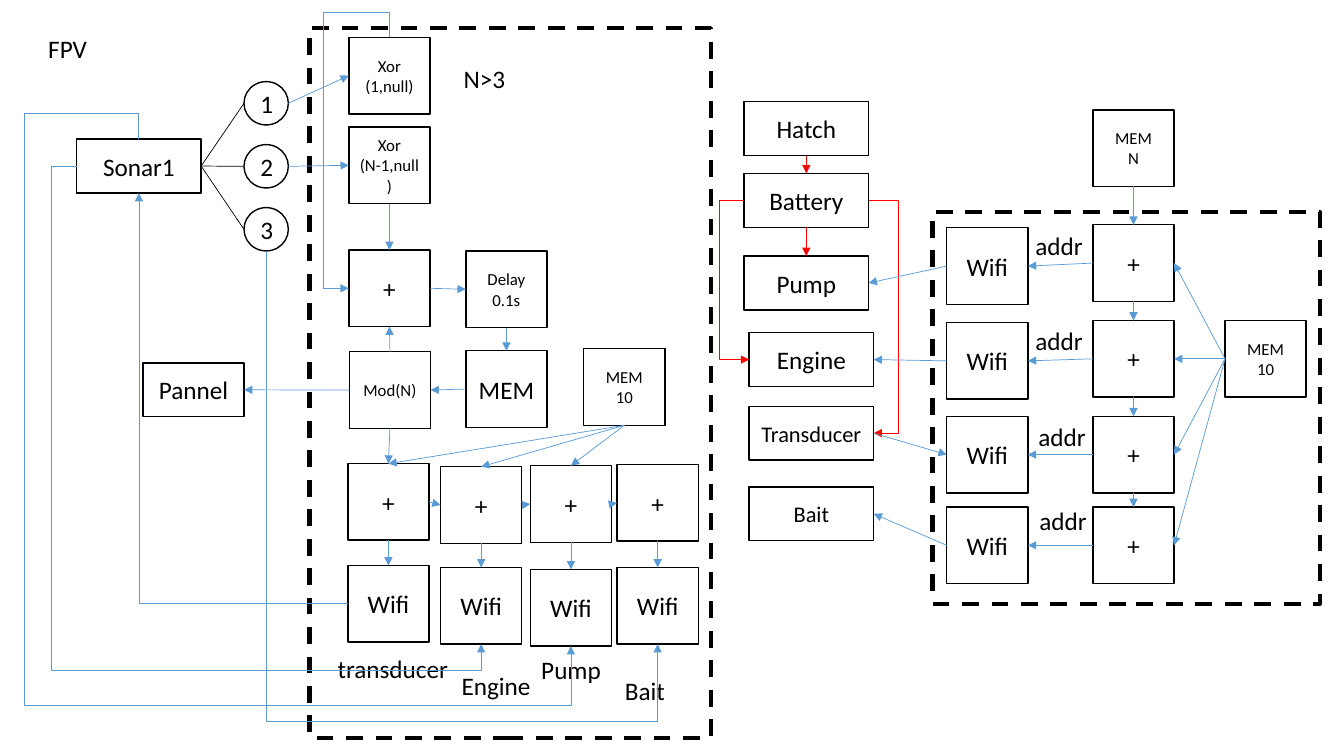
import collections

import pptx
import pptx.dml.color
import pptx.enum.dml
import pptx.enum.shapes
import pptx.enum.text
import pptx.oxml
import pptx.oxml.ns
import pptx.util

COLORS = {"ink": "000000", "paper": "FFFFFF", "signal": "5B9BD5", "power": "FF0000"}
CELL = pptx.util.Inches(0.1)
UNIT = (8.05, 7.6)
LABEL = (12.35, 5.35)
CIRCLE = (4.4, 4.3)
TOP, LEFT, BOTTOM, RIGHT = range(4)
KINDS = pptx.enum.shapes.MSO_SHAPE
Box = collections.namedtuple("Box", "left top width height")


def cells(amount):
    return round(amount * CELL)


def color(name):
    return pptx.dml.color.RGBColor.from_string(COLORS[name])


def apply(target, values):
    for name, value in values.items():
        setattr(target, name, value)


def write(shape, text, size, align, frame_format):
    frame = shape.text_frame
    frame.text = text
    apply(frame, frame_format)
    for para in frame.paragraphs:
        para.alignment = align
        for span in para.runs:
            apply(span.font, {"name": "Calibri", "size": pptx.util.Pt(size)})
            span.font.color.rgb = color("ink")


def place_block(page, box, text, spot, extent=UNIT, size=18, kind=KINDS.RECTANGLE):
    shape = page.shapes.add_shape(
        kind, *map(cells, (box.left + spot[0], box.top + spot[1], *extent)))
    shape.shadow.inherit = False
    if kind == KINDS.OVAL:
        shape.fill.solid()
        shape.fill.fore_color.rgb = color("paper")
    else:
        shape.fill.background()
    shape.line.color.rgb = color("ink")
    shape.line.width = pptx.util.Pt(1)
    if text:
        write(shape, text, size, pptx.enum.text.PP_ALIGN.CENTER,
              {"word_wrap": True, "vertical_anchor": pptx.enum.text.MSO_ANCHOR.MIDDLE})
    return shape


def place_label(page, box, text, spot, width, wrap=False):
    shape = page.shapes.add_textbox(
        *map(cells, (box.left + spot[0], box.top + spot[1], width, 4)))
    write(shape, text, 18, pptx.enum.text.PP_ALIGN.LEFT,
          {"word_wrap": wrap, "auto_size": pptx.enum.text.MSO_AUTO_SIZE.SHAPE_TO_FIT_TEXT})


def place_frame(page, box):
    frame = place_block(page, box, "", (0, 0), (box.width, box.height))
    apply(frame.line, {"width": pptx.util.Pt(3),
                       "dash_style": pptx.enum.dml.MSO_LINE.DASH})


def link(page, start, start_side, end, end_side, tint="signal", arrow=True,
         kind=pptx.enum.shapes.MSO_CONNECTOR.STRAIGHT):
    line = page.shapes.add_connector(kind, 0, 0, 0, 0)
    line.begin_connect(start, start_side)
    line.end_connect(end, end_side)
    for shape, side, tag in ((start, start_side, "a:stCxn"), (end, end_side, "a:endCxn")):
        if shape.auto_shape_type == KINDS.OVAL:
            joint = line._element.find(".//" + pptx.oxml.ns.qn(tag))
            joint.set("idx", str(side * 2))
    line.line.color.rgb = color(tint)
    line.line.width = pptx.util.Pt(0.5)
    if arrow:
        line.line._get_or_add_ln().append(pptx.oxml.parse_xml(
            f'<a:tailEnd {pptx.oxml.ns.nsdecls("a")} type="triangle"/>'))
    line._element.spPr.append(pptx.oxml.parse_xml(
        f'<a:effectLst {pptx.oxml.ns.nsdecls("a")}/>'))
    return line


def route(page, start, start_side, end, end_side, lanes, tint="signal"):
    line = link(page, start, start_side, end, end_side, tint,
                kind=pptx.enum.shapes.MSO_CONNECTOR.ELBOW)
    x1, y1, x2, y2 = line.begin_x, line.begin_y, line.end_x, line.end_y
    width, height = abs(x2 - x1), abs(y2 - y1)
    turned = start_side in (TOP, BOTTOM)
    if turned:
        angle, flips = 270, (y2 > y1, x2 < x1)
        width, height = height, width
    elif start_side == LEFT:
        angle, flips = 180, (x2 > x1, y2 > y1)
    else:
        angle, flips = 0, (x2 < x1, y2 < y1)
    apply(line, {"left": (x1 + x2 - width) // 2, "top": (y1 + y2 - height) // 2,
                 "width": width, "height": height})
    frame = line._element.spPr.find(pptx.oxml.ns.qn("a:xfrm"))
    for name, value in zip(("rot", "flipH", "flipV"), (angle * 60000, *flips)):
        frame.set(name, str(int(value)))
    geometry = line._element.spPr.find(pptx.oxml.ns.qn("a:prstGeom"))
    geometry.set("prst", f"bentConnector{len(lanes) + 2}")
    guides = ""
    for number, lane in enumerate(lanes):
        vertical = turned == (number % 2 == 0)
        first, last = (y1, y2) if vertical else (x1, x2)
        share = round((cells(lane) - first) / (last - first) * 100000)
        guides += f'<a:gd name="adj{number + 1}" fmla="val {share}"/>'
    for child in list(geometry):
        geometry.remove(child)
    geometry.append(pptx.oxml.parse_xml(
        f'<a:avLst {pptx.oxml.ns.nsdecls("a")}>{guides}</a:avLst>'))


def build_sonar(page, box):
    place_label(page, box, "FPV", (1.4, 0), 5.9)
    sonar = place_block(page, box, "Sonar1", (5.2, 11), LABEL)
    panel = place_block(page, box, "Pannel", (11.8, 33.2), (10, 5.35))
    beams = [place_block(page, box, str(row + 1), (21.8, 5.3 + 6.25 * row),
                         CIRCLE, kind=KINDS.OVAL) for row in range(3)]
    for beam in beams:
        link(page, sonar, RIGHT, beam, LEFT, "ink", False)
    return sonar, panel, beams


def build_controller(page, box):
    place_frame(page, box)
    place_label(page, box, "N>3", (14.3, 3), 6.2)
    first = place_block(page, box, "Xor\n(1,null)", (3.9, 0.9), size=12)
    second = place_block(page, box, "Xor\n(N-1,null)", (3.9, 9.8), size=12)
    total = place_block(page, box, "+", (3.9, 22))
    modulo = place_block(page, box, "Mod(N)", (3.95, 32.1), size=12)
    delay = place_block(page, box, "Delay\n0.1s", (15.5, 22.1), size=12)
    memory = place_block(page, box, "MEM", (15.5, 32))
    offset = place_block(page, box, "MEM\n10", (27.2, 31.8), size=12)
    adders, senders = [], []
    for column, add_row, send_row in ((3.8, 43.2, 53.3), (13, 43.5, 53.5),
                                      (21.9, 43.4, 53.7), (30.5, 43.3, 53.5)):
        adders.append(place_block(page, box, "+", (column, add_row)))
        senders.append(place_block(page, box, "Wifi", (column, send_row)))
        link(page, adders[-1], BOTTOM, senders[-1], TOP)
    for text, spot, width in (("transducer", (1.8, 61.5), 13.1), ("Engine", (14.1, 63.2), 8.9),
                              ("Pump", (22, 61.6), 8), ("Bait", (30.3, 63.7), 6)):
        place_label(page, box, text, spot, width)
    for ends in ((second, BOTTOM, total, TOP), (total, RIGHT, delay, LEFT),
                 (delay, BOTTOM, memory, TOP), (memory, LEFT, modulo, RIGHT),
                 (modulo, TOP, total, BOTTOM), (modulo, BOTTOM, adders[0], TOP)):
        link(page, *ends)
    for adder in adders[:3]:
        link(page, offset, BOTTOM, adder, TOP)
    for adder, following in zip(adders, adders[1:]):
        link(page, adder, RIGHT, following, LEFT)
    route(page, first, TOP, total, LEFT, (box.top - 1.6, box.left + 1.4))
    return first, second, modulo, senders


def build_devices(page, box):
    devices = {}
    for name, column, row, size in (
            ("Hatch", 0, 0, 18), ("Battery", 0, 7.1, 18), ("Pump", 0, 15.3, 18),
            ("Engine", 0.5, 22.9, 18), ("Transducer", 0.5, 30.2, 16), ("Bait", 0.5, 38.2, 16)):
        devices[name] = place_block(page, box, name, (column, row), LABEL, size)
    battery = devices["Battery"]
    link(page, devices["Hatch"], BOTTOM, battery, TOP, "power")
    link(page, battery, BOTTOM, devices["Pump"], TOP, "power")
    route(page, battery, LEFT, devices["Engine"], LEFT, (box.left - 2.5,), "power")
    route(page, battery, RIGHT, devices["Transducer"], RIGHT, (box.left + 15.3,), "power")
    return devices


def build_receiver(page, box):
    place_frame(page, box)
    source = place_block(page, box, "MEM\nN", (15.9, -10.1), size=12)
    offset = place_block(page, box, "MEM\n10", (29, 10.8), size=12)
    receivers, previous = [], source
    for wifi_row, add_row, column, label_row in (
            (1.6, 1.3, 9.2, 1.4), (11, 10.8, 9.2, 10.8),
            (20.3, 20.3, 9.5, 20.3), (29.3, 29.3, 9.6, 28.6)):
        wifi = place_block(page, box, "Wifi", (1.4, wifi_row))
        adder = place_block(page, box, "+", (15.9, add_row))
        place_label(page, box, "addr", (column, label_row), 7.7, True)
        link(page, previous, BOTTOM, adder, TOP)
        link(page, offset, LEFT, adder, RIGHT)
        link(page, adder, LEFT, wifi, RIGHT)
        receivers.append(wifi)
        previous = adder
    return receivers


def build_page(page):
    sonar, panel, beams = build_sonar(page, Box(2.4, 2.8, 26.2, 38.5))
    first, second, modulo, senders = build_controller(page, Box(30.7, 2.8, 39.8, 70.4))
    devices = build_devices(page, Box(73.8, 10.1, 12.8, 43.5))
    receivers = build_receiver(page, Box(92.5, 21, 38.4, 38.9))
    link(page, beams[0], RIGHT, first, LEFT)
    link(page, beams[1], RIGHT, second, LEFT)
    link(page, modulo, LEFT, panel, RIGHT)
    route(page, senders[0], LEFT, sonar, BOTTOM, ())
    route(page, sonar, LEFT, senders[1], BOTTOM, (5.1, 66.5))
    route(page, sonar, TOP, senders[2], BOTTOM, (11.3, 2.4, 70))
    route(page, beams[2], BOTTOM, senders[3], BOTTOM, (71.6,))
    for name, wifi in zip(("Pump", "Engine", "Transducer", "Bait"), receivers):
        if name == "Transducer":
            link(page, devices[name], RIGHT, wifi, LEFT)
        else:
            link(page, wifi, LEFT, devices[name], RIGHT)


def main():
    deck = pptx.Presentation()
    apply(deck, {"slide_width": pptx.util.Inches(13.33),
                 "slide_height": pptx.util.Inches(7.5)})
    build_page(deck.slides.add_slide(deck.slide_layouts[6]))
    deck.save("out.pptx")


if __name__ == "__main__":
    main()
